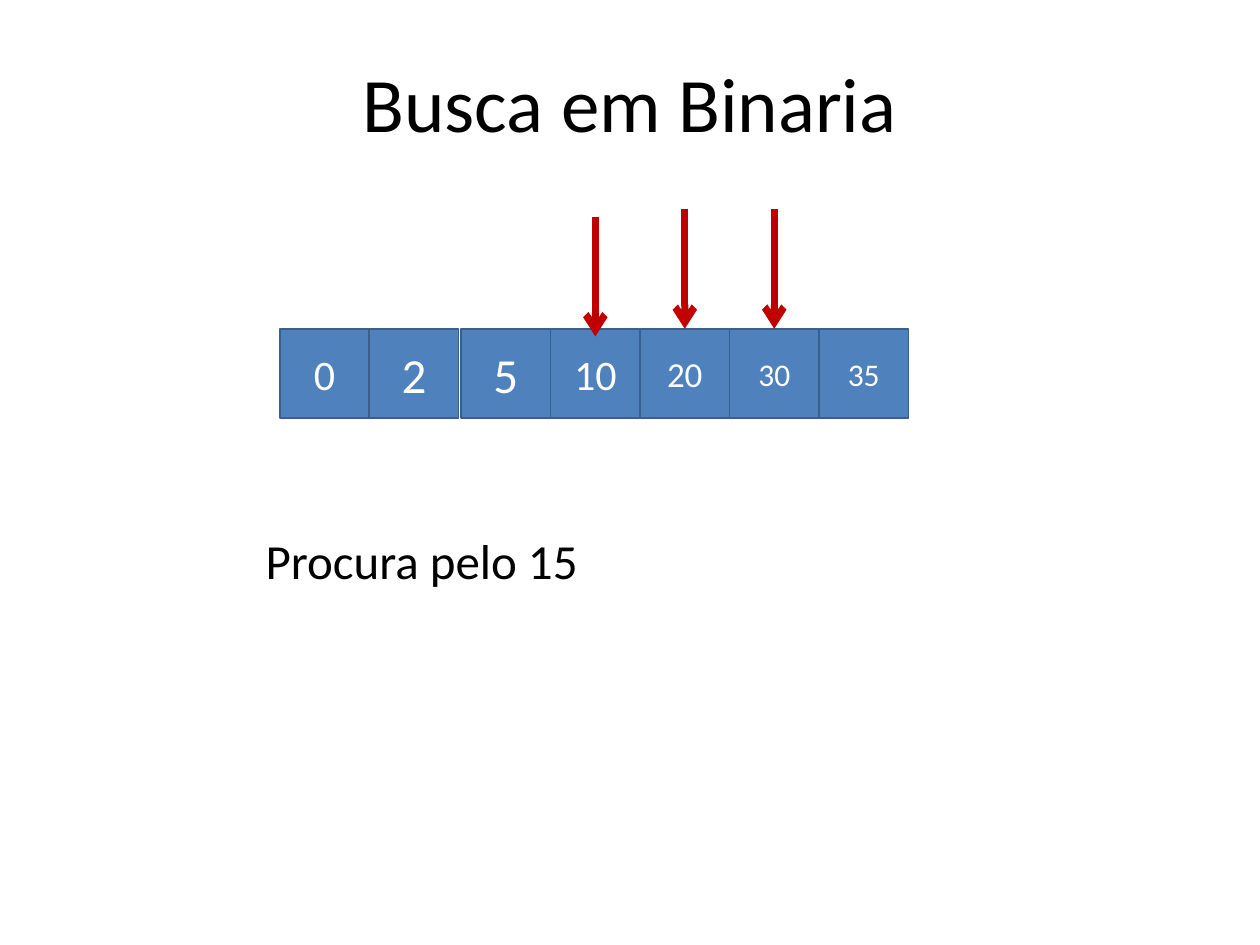
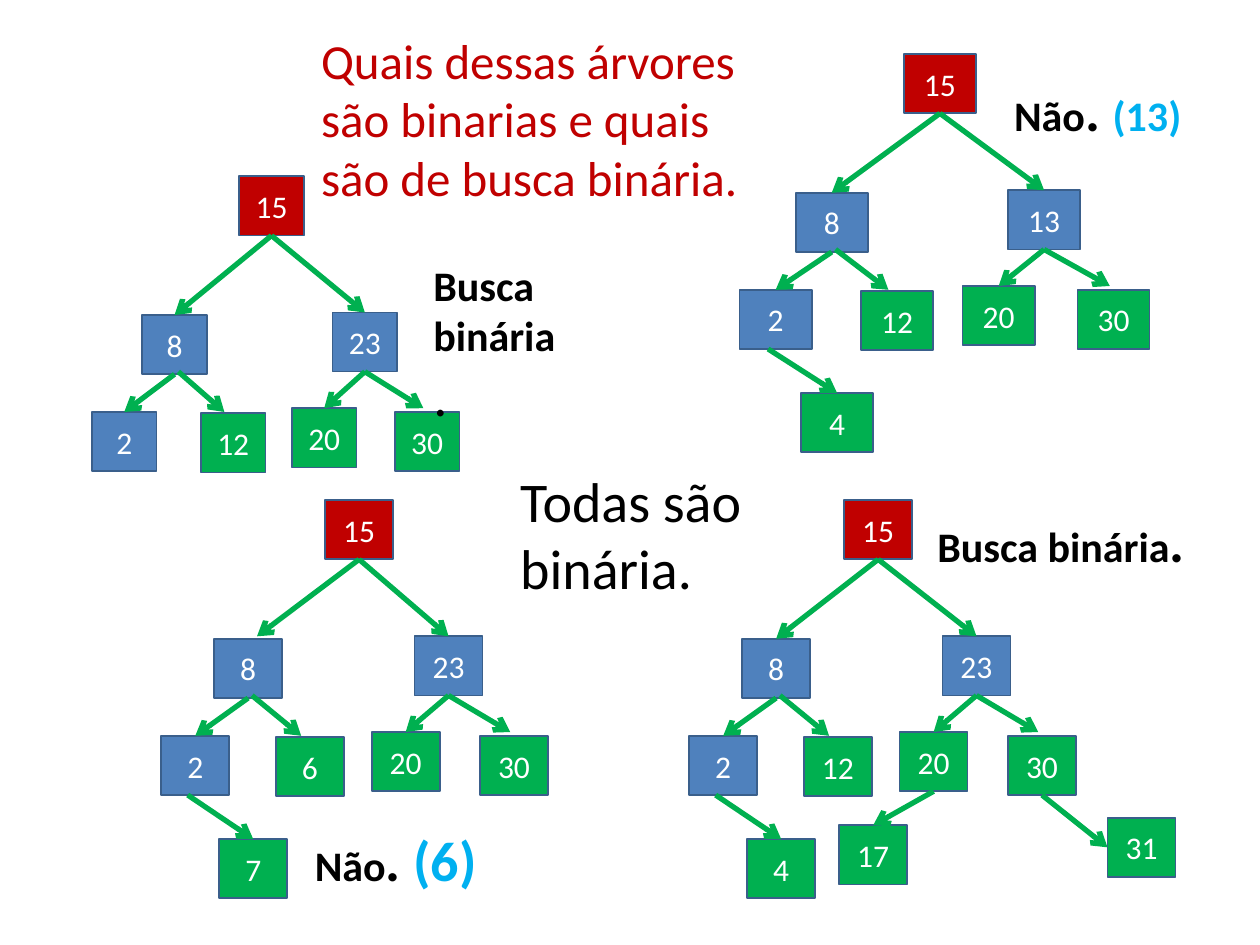
from lxml.etree import SubElement
from pptx import Presentation
from pptx.dml.color import RGBColor
from pptx.enum.shapes import MSO_CONNECTOR, MSO_SHAPE
from pptx.enum.text import MSO_ANCHOR, MSO_AUTO_SIZE, PP_ALIGN
from pptx.oxml.ns import qn
from pptx.util import Inches, Pt

FONT = "Calibri"
BLUE, EDGE, RED, GREEN = "4F81BD", "3A5F8B", "C00000", "00B050"
SKY, BLACK, WHITE = "00B0F0", "000000", "FFFFFF"
TOP, LEFT, BOTTOM = 0, 1, 2

# Role: left and top from the tree's corner, fill
NODES = {
    "root": (1.23, 0, RED),
    "l": (0.42, 1.10, BLUE),
    "r": (2.01, 1.08, BLUE),
    "ll": (0, 1.87, BLUE),
    "lr": (0.91, 1.88, GREEN),
    "rl": (1.67, 1.84, GREEN),
    "rr": (2.53, 1.87, GREEN),
    "llr": (0.46, 2.69, GREEN),
    "rll": (1.19, 2.58, GREEN),
    "rrr": (3.32, 2.52, GREEN),
}
# Parent, child, shift of the start, shift of the end
LINKS = [
    ("root", "l", (0, 0), (0, 0)),
    ("root", "r", (0, 0), (0, 0)),
    ("r", "rr", (0, 0), (-0.03, -0.03)),
    ("r", "rl", (0, 0), (0, 0)),
    ("l", "lr", (0.03, -0.02), (-0.07, -0.01)),
    ("l", "ll", (0, 0), (0, 0)),
    ("ll", "llr", (-0.06, 0), (0, 0)),
    ("rl", "rll", (0, 0), (0, 0)),
    ("rr", "rrr", (0, 0), (0, 0)),
]


def tint(code):
    return RGBColor.from_string(code)


def style(run, size, color, bold=False):
    font = run.font
    font.name, font.size, font.bold = FONT, Pt(size), bold
    font.color.rgb = tint(color)


def add_box(shapes, x, y, w, h, text, size=18, fill=BLUE):
    box = shapes.add_shape(MSO_SHAPE.RECTANGLE, Inches(x), Inches(y), Inches(w), Inches(h))
    box.shadow.inherit = False
    box.fill.solid()
    box.fill.fore_color.rgb = tint(fill)
    box.line.color.rgb = tint(EDGE)
    box.line.width = Pt(1)
    frame = box.text_frame
    frame.text = text
    frame.vertical_anchor = MSO_ANCHOR.MIDDLE
    para = frame.paragraphs[0]
    para.alignment = PP_ALIGN.CENTER
    style(para.runs[0], size, WHITE)
    return box


def add_text(slide, x, y, w, h, *parts):
    """Each part is (text, size, color, bold)."""
    box = slide.shapes.add_textbox(Inches(x), Inches(y), Inches(w), Inches(h))
    frame = box.text_frame
    frame.word_wrap = True
    frame.auto_size = MSO_AUTO_SIZE.SHAPE_TO_FIT_TEXT
    for text, *look in parts:
        run = frame.paragraphs[0].add_run()
        run.text = text
        style(run, *look)


def spot(box, side, shift=(0, 0)):
    """Middle of a box's side, moved by shift."""
    x = box.left if side == LEFT else box.left + box.width // 2
    y = {TOP: box.top, LEFT: box.top + box.height // 2, BOTTOM: box.top + box.height}[side]
    return x + Inches(shift[0]), y + Inches(shift[1])


def add_arrow(shapes, start, end, color, width):
    line = shapes.add_connector(MSO_CONNECTOR.STRAIGHT, *start, *end)
    line.line.color.rgb = tint(color)
    line.line.width = Pt(width)
    props = line._element.spPr
    SubElement(props.find(qn("a:ln")), qn("a:tailEnd"), type="arrow")
    SubElement(props, qn("a:effectLst"))
    return line


def add_row(slide, x, y, side):
    """Row of sorted values, with arrows on the ones visited."""
    cells = {}
    values = [(0, 24), (2, 28), (5, 28), (10, 24), (20, 20), (30, 18), (35, 18)]
    for i, (value, size) in enumerate(values):
        seam = 0.02 if i > 1 else 0
        cells[value] = add_box(slide.shapes, x + i * side + seam, y, side, side, str(value), size)
    for value, drop in [(10, 0.06), (30, 0), (20, 0)]:
        cell = cells[value]
        line = add_arrow(slide.shapes, spot(cell, TOP, (0, drop - 0.95)),
                         spot(cell, TOP, (0, drop)), RED, 4)
        if not drop:
            line.end_connect(cell, TOP)


def add_tree(slide, x, y, labels, scale=1, lean=0):
    """Tree of labelled nodes; lean moves the root sideways."""
    shapes = slide.shapes.add_group_shape().shapes
    boxes = {}
    for role, text in labels.items():
        dx, dy, fill = NODES[role]
        if role == "root":
            dx += lean
        boxes[role] = add_box(shapes, x + dx * scale, y + dy, 0.54 * scale, 0.47, text, fill=fill)
    for up, down, out, into in LINKS:
        if down not in boxes:
            continue
        if down == "l":
            into = (lean, -0.02 if lean else 0)
        side = LEFT if down == "rrr" else TOP
        line = add_arrow(shapes, spot(boxes[up], BOTTOM, out),
                         spot(boxes[down], side, into), GREEN, 3)
        if not any(out):
            line.begin_connect(boxes[up], BOTTOM)
        if not any(into):
            line.end_connect(boxes[down], side)


def search_slide(deck):
    slide = deck.slides.add_slide(deck.slide_layouts[5])
    title = slide.shapes.title
    title.left, title.top, title.width, title.height = map(Inches, (0.5, 0.3, 9, 1.01))
    frame = title.text_frame
    frame.text = "Busca em Binaria"
    frame.vertical_anchor = MSO_ANCHOR.MIDDLE
    frame.paragraphs[0].alignment = PP_ALIGN.CENTER
    style(frame.paragraphs[0].runs[0], 44, BLACK)
    add_row(slide, 2.22, 2.61, 0.71)
    add_text(slide, 2.01, 4.16, 5.43, 0.56, ("Procura pelo 15", 28, BLACK))


def tree_slide(deck):
    slide = deck.slides.add_slide(deck.slide_layouts[6])
    # Trees
    base = dict(root="15", l="8", r="23", ll="2", lr="12", rl="20", rr="30")
    add_tree(slide, 1.28, 3.97, {**base, "lr": "6", "llr": "7"}, lean=0.07)
    add_tree(slide, 0.73, 1.4, base, scale=0.95)
    add_tree(slide, 5.87, 0.43, {**base, "r": "13", "llr": "4"}, scale=1.06)
    add_tree(slide, 5.47, 3.97, {**base, "llr": "4", "rll": "17", "rrr": "31"})
    # Question and answers
    add_text(slide, 2.45, 0.19, 3.76, 1.5,
             ("Quais dessas árvores são binarias e quais são de busca binária.", 28, RED))
    add_text(slide, 4.03, 3.65, 2.29, 1.16, ("Todas são binária.", 32, BLACK))
    # Verdict on each tree
    yes, no = ("Busca binária", 24, BLACK, True), ("Não", 24, BLACK, True)
    stop = (". ", 32, BLACK, True)
    add_text(slide, 3.34, 2.01, 1.19, 1.43, yes, (".", 32, BLACK))
    add_text(slide, 7.34, 3.97, 2.38, 0.63, yes, (".", 32, BLACK, True))
    add_text(slide, 2.4, 6.5, 2.38, 0.63, no, stop, ("(6)", 32, SKY, True))
    add_text(slide, 7.95, 0.55, 1.77, 0.63, no, stop, ("(13)", 24, SKY, True))


def main():
    deck = Presentation()
    deck.slide_width, deck.slide_height = Inches(10), Inches(7.5)
    search_slide(deck)
    tree_slide(deck)
    deck.save("out.pptx")


if __name__ == "__main__":
    main()
